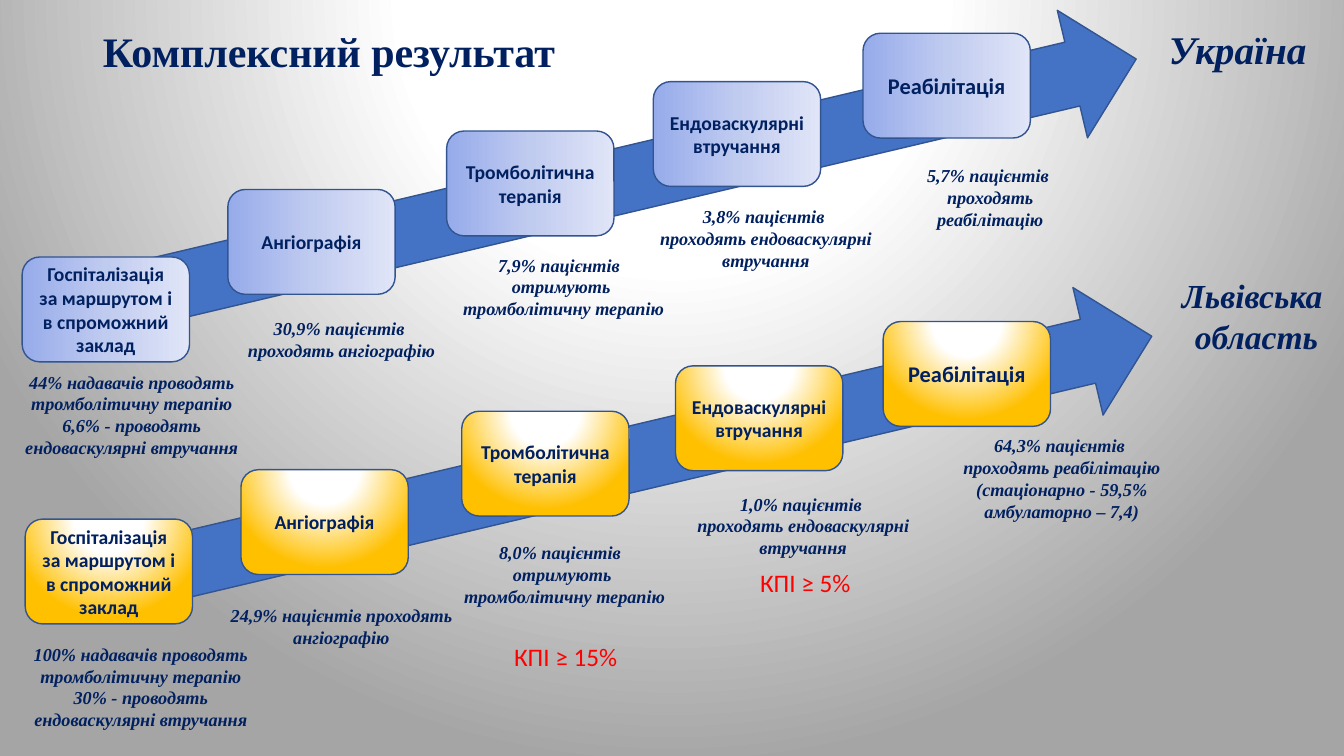
from lxml.etree import SubElement
from pptx import Presentation
from pptx.dml.color import RGBColor
from pptx.enum.shapes import MSO_SHAPE
from pptx.enum.text import MSO_ANCHOR, MSO_AUTO_SIZE, PP_ALIGN
from pptx.oxml.ns import qn
from pptx.util import Inches, Pt

COLORS = {"navy": "002060", "arrow": "4472C4", "outline": "325491", "kpi": "FF0000"}
SERIF, SANS = "Times New Roman", "Calibri"

# Gradient stops as (percent, colour); "glow" is a circle centred above the shape
GRADIENTS = {
    "background": ("glow", [(0, "FFFFFF"), (35, "FFFFFF"), (100, "A5A5A5")]),
    "blue": ("linear", [(0, "96ABEA"), (50, "C0CBF0"), (100, "E0E5F7")]),
    "gold": ("glow", [(0, "FFFFFF"), (35, "FFFFFF"), (100, "FFC000")]),
}
GLOW_CENTER = {"l": "50000", "t": "-80000", "r": "50000", "b": "180000"}

# All places are (column, row, columns wide, rows high) on a grid with 75 rows
GRID_ROWS = 75
TITLE = ("Комплексний результат", (-12.5, 2, 90.3, 6.1))
STEP_SIZE = (16.6, 10.4)
STEPS = [  # name, text size
    ("Госпіталізація за маршрутом і в спроможний заклад", 14),
    ("Ангіографія", 14),
    ("Тромболітична терапія", 14),
    ("Ендоваскулярні втручання", 14),
    ("Реабілітація", 16),
]
ARROW_ANGLE = -13.3
REGIONS = [
    {
        "name": ["Україна"], "name_size": 28, "name_place": (109.3, 2, 26.9, 5.7),
        "gradient": "blue",
        "arrow": (1.7, 12.3, 112.5, 13),
        "steps": [(2.2, 25.5), (22.6, 18.8), (44.3, 13), (64.8, 8.1), (85.6, 3.3)],
        "captions": [  # column, row, columns wide, lines high, paragraphs
            (0, 36.3, 26.1, 4, ["44% надавачів проводять тромболітичну терапію",
                                "6,6% - проводять ендоваскулярні втручання"]),
            (20.8, 31, 26.1, 2, ["30,9% пацієнтів ", "проходять ангіографію"]),
            (43.7, 24.7, 23.9, 3, ["7,9% пацієнтів ", "отримують",
                                   " тромболітичну терапію"]),
            (64, 19.9, 23.9, 3, ["3,8% пацієнтів ",
                                 "проходять ендоваскулярні втручання"]),
            (88.1, 15.8, 20.2, 3, ["5,7% пацієнтів ", "проходять реабілітацію"]),
        ],
        "kpis": [],
    },
    {
        "name": ["Львівська", " область"], "name_size": 24,
        "name_place": (114.1, 26.8, 20.2, 9.1),
        "gradient": "gold",
        "arrow": (6.7, 39.4, 109, 13),
        "steps": [(2.5, 51.5), (23.9, 46.6), (45.8, 40.8), (67, 36.3), (87.6, 31.9)],
        "captions": [
            (0.9, 63.3, 26.1, 4, ["100% надавачів проводять тромболітичну терапію",
                                  "30% - проводять ендоваскулярні втручання"]),
            (20.8, 59.5, 26.1, 2, ["24,9% націєнтів проходять ангіографію"]),
            (43.8, 53.2, 23.9, 3, ["8,0% пацієнтів ", "отримують",
                                   " тромболітичну терапію"]),
            (67.7, 48.4, 23.9, 3, ["1,0% пацієнтів ",
                                   "проходять ендоваскулярні втручання"]),
            (91.6, 42.6, 27.4, 4, ["64,3% пацієнтів ", "проходять реабілітацію",
                                   "(стаціонарно - 59,5%", "амбулаторно – 7,4)"]),
        ],
        "kpis": [("КПІ ≥ 15%", (50, 63.1, 12.4, 4)), ("КПІ ≥ 5%", (74.4, 55.8, 11.1, 4))],
    },
]

presentation = Presentation()
presentation.slide_width, presentation.slide_height = Inches(13.33), Inches(7.5)
CELL = presentation.slide_height / GRID_ROWS


def on_grid(place):
    return [round(value * CELL) for value in place]


def apply_gradient(fill, element, name):
    """Fill with a named gradient; element is the one that holds the fill."""
    kind, stops = GRADIENTS[name]
    fill.gradient()
    gradient = element.xpath(".//a:gradFill")[0]
    for child in list(gradient):
        gradient.remove(child)
    stop_list = SubElement(gradient, qn("a:gsLst"))
    for percent, color in stops:
        stop = SubElement(stop_list, qn("a:gs"), pos=str(percent * 1000))
        SubElement(stop, qn("a:srgbClr"), val=color)
    if kind == "linear":
        SubElement(gradient, qn("a:lin"), ang="0", scaled="0")
    else:
        circle = SubElement(gradient, qn("a:path"), path="circle")
        SubElement(circle, qn("a:fillToRect"), GLOW_CENTER)


def write(shape, lines, size, font=SERIF, color="navy", bold=True, italic=False,
          align=PP_ALIGN.CENTER, anchor=MSO_ANCHOR.TOP, wrap=True,
          auto_size=MSO_AUTO_SIZE.SHAPE_TO_FIT_TEXT):
    frame = shape.text_frame
    frame.word_wrap, frame.vertical_anchor, frame.auto_size = wrap, anchor, auto_size
    for index, line in enumerate(lines):
        paragraph = frame.add_paragraph() if index else frame.paragraphs[0]
        paragraph.alignment = align
        run = paragraph.add_run()
        run.text = line
        run.font.name, run.font.size = font, Pt(size)
        run.font.bold, run.font.italic = bold, italic
        run.font.color.rgb = RGBColor.from_string(COLORS[color])


def add_text(slide, place, lines, size, **text_format):
    write(slide.shapes.add_textbox(*on_grid(place)), lines, size, **text_format)


def add_outlined(slide, kind, place):
    shape = slide.shapes.add_shape(kind, *on_grid(place))
    shape.shadow.inherit = False
    shape.line.color.rgb = RGBColor.from_string(COLORS["outline"])
    shape.line.width = Pt(1)
    return shape


def add_region(slide, region):
    arrow = add_outlined(slide, MSO_SHAPE.RIGHT_ARROW, region["arrow"])
    arrow.rotation = ARROW_ANGLE
    arrow.fill.solid()
    arrow.fill.fore_color.rgb = RGBColor.from_string(COLORS["arrow"])
    add_text(slide, region["name_place"], region["name"], region["name_size"], italic=True)

    for (name, size), corner in zip(STEPS, region["steps"]):
        step = add_outlined(slide, MSO_SHAPE.ROUNDED_RECTANGLE, corner + STEP_SIZE)
        apply_gradient(step.fill, step.element, region["gradient"])
        write(step, [name], size, font=SANS, anchor=MSO_ANCHOR.MIDDLE,
              auto_size=MSO_AUTO_SIZE.NONE)

    for column, row, width, line_count, lines in region["captions"]:
        height = 2.2 * line_count + 1
        add_text(slide, (column, row, width, height), lines, 13, italic=True)

    for text, place in region["kpis"]:
        add_text(slide, place, [text], 18, font=SANS, color="kpi", bold=False,
                 align=PP_ALIGN.LEFT, wrap=False)


slide = presentation.slides.add_slide(presentation.slide_layouts[5])
apply_gradient(slide.background.fill, slide.element, "background")

title_text, title_place = TITLE
title = slide.shapes.title
title.left, title.top, title.width, title.height = on_grid(title_place)
write(title, [title_text], 30)

for region in REGIONS:
    add_region(slide, region)

presentation.save("out.pptx")
